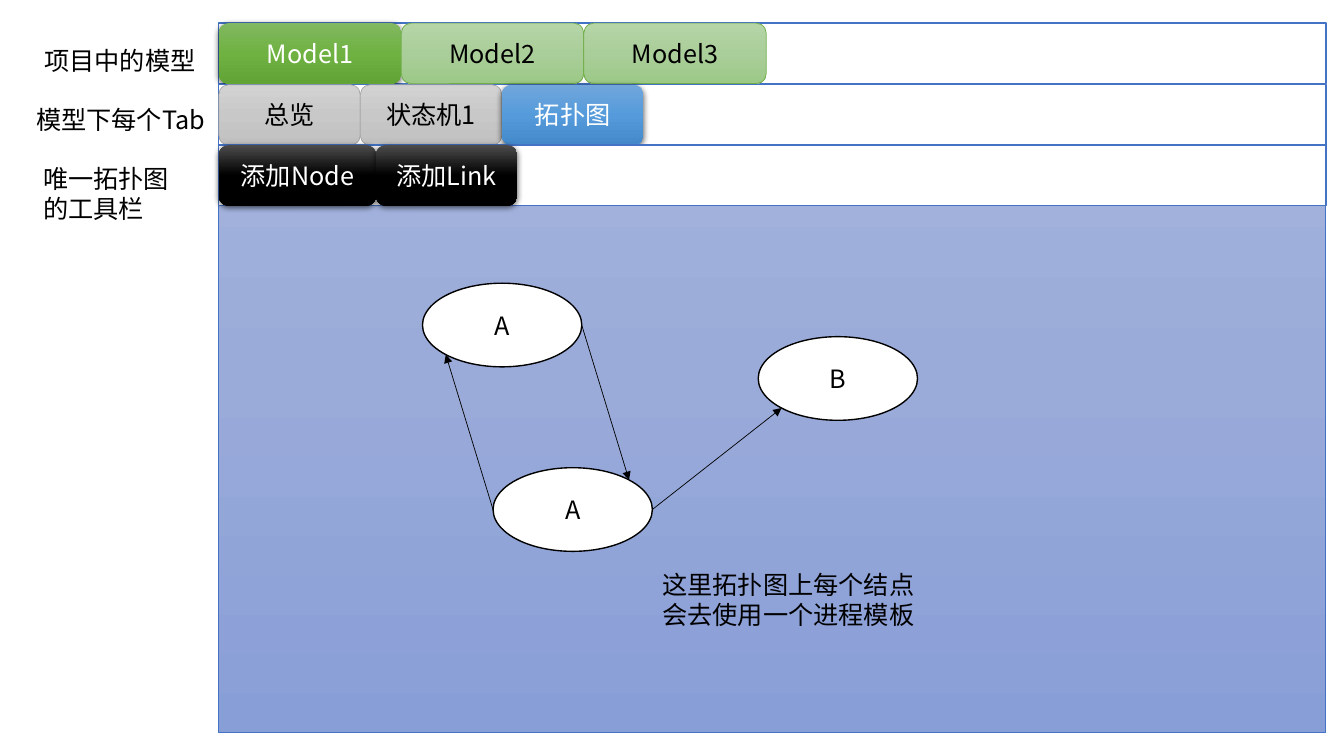
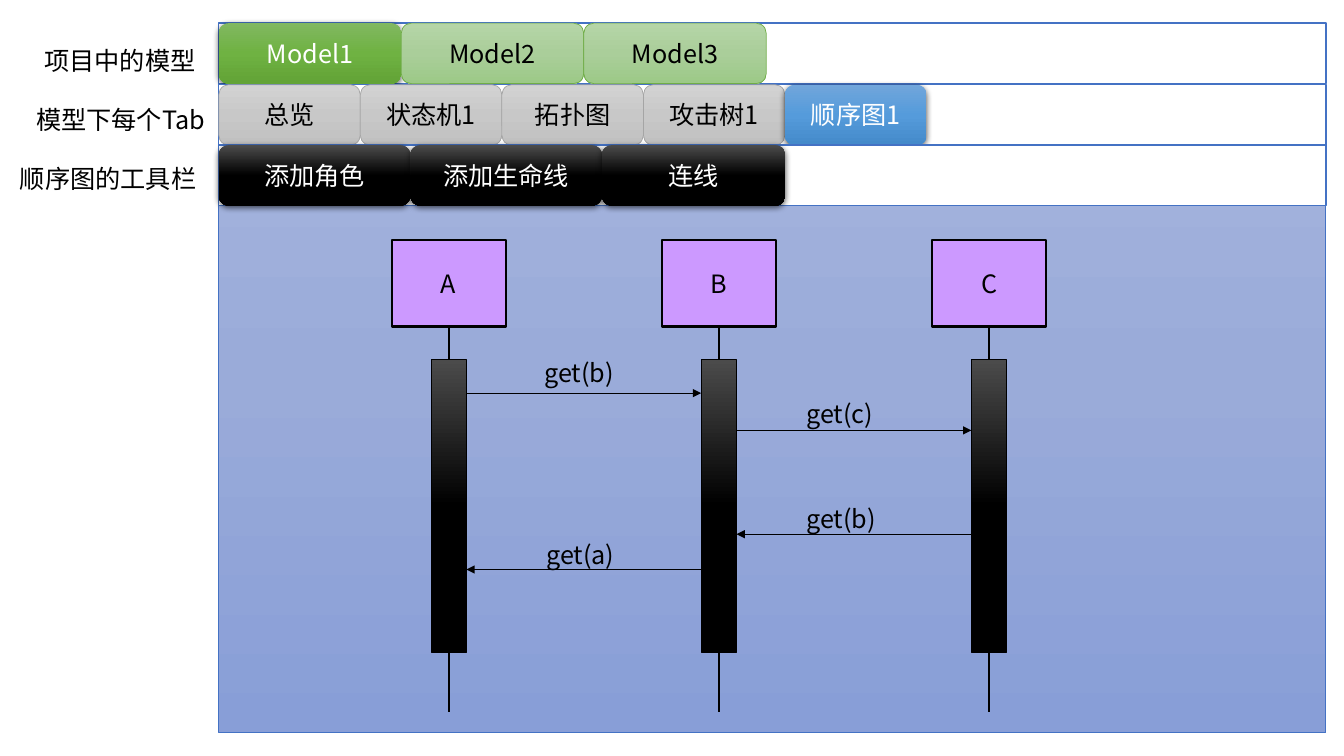
from math import cos, radians, sin

from lxml.etree import SubElement
from pptx import Presentation
from pptx.dml.color import RGBColor
from pptx.enum.shapes import MSO_CONNECTOR, MSO_SHAPE
from pptx.enum.text import MSO_ANCHOR, MSO_AUTO_SIZE, PP_ALIGN
from pptx.oxml.ns import qn
from pptx.util import Inches, Pt

FONT = "Noto Sans CJK SC"
COLORS = {"white": "FFFFFF", "black": "000000", "frame": "4472C4",
          "green": "70AD47", "gray": "A5A5A5", "role": "CC99FF"}
GRADIENTS = {
    "canvas": ("A8B7DF", "9AABD9", "889ED7"),
    "model_on": ("81B861", "6FB242", "62A336"),
    "model": ("B5D5A7", "AACE9A", "9CC987"),
    "tab_on": ("71A6DB", "559BDB", "448ACA"),
    "tab": ("D2D2D2", "C8C8C8", "C0C0C0"),
    "dark": ("4B4B4B", "000000", "000000"),
}
LEFT, WIDTH, ROW_H = 2.17, 10.98, 0.6
MODEL_Y, TAB_Y, TOOL_Y = 0.23, 0.84, 1.44
MODEL_W, TAB_W = 1.81, 1.404
NODE_W, NODE_H = 1.58, 0.83
BAR_W = 0.35


def rgb(name):
    """Return the palette colour called name."""
    return RGBColor.from_string(COLORS[name])


def write(tf, lines, color="black", align=None):
    """Fill a text frame with one paragraph per line."""
    for i, line in enumerate(lines):
        p = tf.add_paragraph() if i else tf.paragraphs[0]
        p.alignment = align
        r = p.add_run()
        r.text = line
        r.font.size = Pt(18)
        r.font.name = FONT
        r.font.color.rgb = rgb(color)
        SubElement(r.font._element, qn("a:ea"), typeface=FONT)


def paint(sp, fill):
    """Fill a shape with a plain colour or a three-stop vertical gradient."""
    if fill in COLORS:
        sp.fill.solid()
        sp.fill.fore_color.rgb = rgb(fill)
        return
    sp.fill.gradient()
    sp.fill.gradient_angle = 270
    gs_list = sp._element.spPr.find(qn("a:gradFill")).find(qn("a:gsLst"))
    for stop in list(gs_list):
        gs_list.remove(stop)
    for pos, color in zip((0, 50000, 100000), GRADIENTS[fill]):
        stop = SubElement(gs_list, qn("a:gs"), pos=str(pos))
        SubElement(stop, qn("a:srgbClr"), val=color)


def add_shadow(sp):
    """Give a shape a soft shadow just below it."""
    effects = sp._element.spPr.find(qn("a:effectLst"))
    shadow = SubElement(effects, qn("a:outerShdw"), blurRad="57150",
                        dist="19050", dir="5400000", algn="ctr", rotWithShape="0")
    color = SubElement(shadow, qn("a:srgbClr"), val=COLORS["black"])
    SubElement(color, qn("a:alpha"), val="63000")


def add_box(s, kind, x, y, w, h, fill, line=None, weight=0.5, text=None, color="black"):
    """Add a preset shape; one without a line gets a shadow."""
    sp = s.shapes.add_shape(kind, Inches(x), Inches(y), Inches(w), Inches(h))
    sp.shadow.inherit = False
    paint(sp, fill)
    if line:
        sp.line.color.rgb = rgb(line)
        sp.line.width = Pt(weight)
    else:
        sp.line.fill.background()
        add_shadow(sp)
    if text:
        sp.text_frame.vertical_anchor = MSO_ANCHOR.MIDDLE
        write(sp.text_frame, [text], color, PP_ALIGN.CENTER)
    return sp


def add_label(s, x, y, w, *lines):
    """Add a wrapping text box that grows with its lines."""
    h = 0.1 + 0.3 * len(lines)
    tf = s.shapes.add_textbox(Inches(x), Inches(y), Inches(w), Inches(h)).text_frame
    tf.word_wrap = True
    tf.auto_size = MSO_AUTO_SIZE.SHAPE_TO_FIT_TEXT
    write(tf, lines)


def add_line(s, start, end, weight=0.5, arrow=True):
    """Add a black straight line, with an arrowhead at its end if wanted."""
    points = [Inches(v) for v in (*start, *end)]
    cx = s.shapes.add_connector(MSO_CONNECTOR.STRAIGHT, *points)
    cx.line.color.rgb = rgb("black")
    cx.line.width = Pt(weight)
    if arrow:
        SubElement(cx.line._get_or_add_ln(), qn("a:tailEnd"), type="triangle")
    SubElement(cx._element.spPr, qn("a:effectLst"))


def add_row(s, y, buttons):
    """Add a framed row of touching buttons: text, width, fill, line."""
    add_box(s, MSO_SHAPE.RECTANGLE, LEFT, y, WIDTH, ROW_H, "white", "frame", 1)
    x = LEFT
    for text, w, fill, line in buttons:
        color = "black" if line else "white"
        add_box(s, MSO_SHAPE.ROUNDED_RECTANGLE, x, y, w, ROW_H, fill, line,
                text=text, color=color)
        x += w


def add_window(prs, tabs, active, tools):
    """Add a slide with the canvas, model row, tab row and toolbar."""
    s = prs.slides.add_slide(prs.slide_layouts[6])
    add_box(s, MSO_SHAPE.RECTANGLE, LEFT, 0.24, WIDTH, 7.03, "canvas", "frame")
    add_row(s, MODEL_Y, [("Model1", MODEL_W, "model_on", None),
                         ("Model2", MODEL_W, "model", "green"),
                         ("Model3", MODEL_W, "model", "green")])
    add_row(s, TAB_Y, [(t, TAB_W, "tab_on", None) if t == active
                       else (t, TAB_W, "tab", "gray") for t in tabs])
    add_row(s, TOOL_Y, [(t, w, "dark", None) for t, w in tools])
    add_label(s, 0.34, 0.4, 1.74, "项目中的模型")
    add_label(s, 0.26, 0.99, 1.89, "模型下每个Tab")
    return s


def add_node(s, text, x, y):
    """Add a topology node and return its centre."""
    add_box(s, MSO_SHAPE.OVAL, x, y, NODE_W, NODE_H, "white", "black", 1, text)
    return x + NODE_W / 2, y + NODE_H / 2


def rim(center, angle):
    """Return the point of a node's edge at a clockwise angle from the right."""
    a = radians(angle)
    return center[0] + NODE_W / 2 * cos(a), center[1] + NODE_H / 2 * sin(a)


def add_lifeline(s, text, x):
    """Add a role box with its lifeline and activation bar, centred on x."""
    add_box(s, MSO_SHAPE.RECTANGLE, x - 0.565, 2.38, 1.13, 0.86, "role", "black", 1.5, text)
    add_line(s, (x, 3.23), (x, 7.06), 1.5, arrow=False)
    add_box(s, MSO_SHAPE.RECTANGLE, x - BAR_W / 2, 3.57, BAR_W, 2.9, "dark", "black")


def add_message(s, text, start, end, y, label_x, label_y):
    """Add an arrow between two activation bars and its label."""
    side = BAR_W / 2 if end > start else -BAR_W / 2
    add_line(s, (start + side, y), (end - side, y))
    add_label(s, label_x, label_y, 1.37, text)


def build_topology(prs):
    """Build the topology slide."""
    s = add_window(prs, ["总览", "状态机1", "拓扑图"], "拓扑图",
                   [("添加Node", 1.56), ("添加Link", 1.4)])
    add_label(s, 0.33, 1.57, 1.74, "唯一拓扑图", "的工具栏")
    top = add_node(s, "A", 4.19, 2.81)
    low = add_node(s, "A", 4.89, 4.64)
    right = add_node(s, "B", 7.52, 3.34)
    add_line(s, rim(top, 0), rim(low, -45))
    add_line(s, rim(low, 180), rim(top, 135))
    add_line(s, rim(low, 0), rim(right, 135))
    add_label(s, 6.47, 5.6, 2.74, "这里拓扑图上每个结点会去使用一个进程模板")


def build_sequence(prs):
    """Build the sequence diagram slide."""
    s = add_window(prs, ["总览", "状态机1", "拓扑图", "攻击树1", "顺序图1"], "顺序图1",
                   [("添加角色", 1.9), ("添加生命线", 1.9), ("连线", 1.82)])
    add_label(s, 0.1, 1.57, 2.07, "顺序图的工具栏")
    a, b, c = (4.45 + 2.68 * i for i in range(3))
    for text, x in zip("ABC", (a, b, c)):
        add_lifeline(s, text, x)
    add_message(s, "get(b)", a, b, 3.9, 5.3, 3.5)
    add_message(s, "get(c)", b, c, 4.27, 7.9, 3.9)
    add_message(s, "get(b)", c, b, 5.3, 7.9, 4.94)
    add_message(s, "get(a)", b, a, 5.65, 5.32, 5.3)


def main():
    """Build and save the presentation."""
    prs = Presentation()
    prs.slide_width, prs.slide_height = Inches(13.33), Inches(7.5)
    build_topology(prs)
    build_sequence(prs)
    prs.save("out.pptx")


main()
